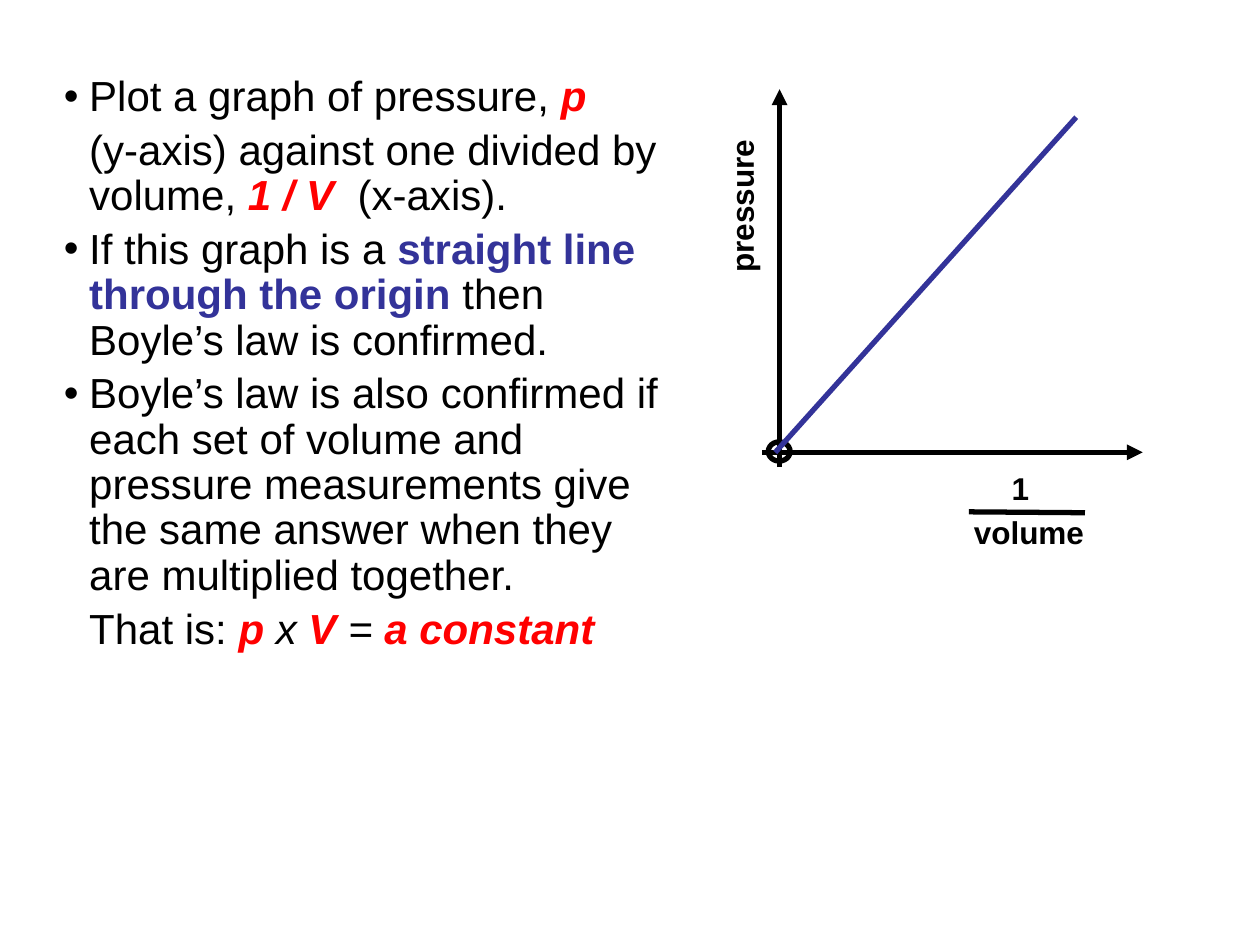
from dataclasses import dataclass

from lxml.etree import SubElement
from pptx import Presentation
from pptx.dml.color import RGBColor
from pptx.enum.shapes import MSO_CONNECTOR, MSO_SHAPE
from pptx.enum.text import MSO_AUTO_SIZE
from pptx.oxml.ns import qn
from pptx.util import Pt


@dataclass(frozen=True)
class Theme:
    font: str = "Arial"
    body_size: float = 24
    label_size: float = 18
    line_width: float = 3
    ink: RGBColor = RGBColor(0, 0, 0)
    symbol: RGBColor = RGBColor(0xFF, 0, 0)
    accent: RGBColor = RGBColor(0x33, 0x33, 0x99)


class SlideBuilder:
    def __init__(self, slide, theme):
        self.slide = slide
        self.theme = theme

    def text_box(self, left, top, width, height):
        box = self.slide.shapes.add_textbox(Pt(left), Pt(top), Pt(width), Pt(height))
        box.text_frame.word_wrap = True
        return box

    def run(self, paragraph, text, size, color, bold=False, italic=False):
        run = paragraph.add_run()
        run.text = text
        font = run.font
        font.name, font.size = self.theme.font, Pt(size)
        font.bold, font.italic = bold, italic
        font.color.rgb = color

    def body(self, left, top, width, height, paragraphs):
        """Each paragraph is (has bullet, runs); a run is (text, color, bold, italic)."""
        frame = self.text_box(left, top, width, height).text_frame
        hang = Pt(14.4)
        for index, (bulleted, runs) in enumerate(paragraphs):
            paragraph = frame.add_paragraph() if index else frame.paragraphs[0]
            paragraph.line_spacing = 0.9
            if index:
                paragraph.space_before = Pt(0.2 * self.theme.body_size)
            properties = paragraph._p.get_or_add_pPr()
            properties.set("marL", str(hang))
            properties.set("indent", str(-hang if bulleted else 0))
            if bulleted:
                SubElement(properties, qn("a:buFont"), typeface=self.theme.font)
                SubElement(properties, qn("a:buChar"), char="•")
            else:
                SubElement(properties, qn("a:buNone"))
            for text, *style in runs:
                self.run(paragraph, text, self.theme.body_size, *style)

    def label(self, text, left, top, width, rotation=0):
        box = self.text_box(left, top, width, 28.8)
        box.rotation = rotation
        box.text_frame.auto_size = MSO_AUTO_SIZE.SHAPE_TO_FIT_TEXT
        self.run(box.text_frame.paragraphs[0], text, self.theme.label_size,
                 self.theme.ink, bold=True)

    def line(self, start, end, color, arrow=False):
        connector = self.slide.shapes.add_connector(
            MSO_CONNECTOR.STRAIGHT, *map(Pt, start), *map(Pt, end))
        connector.line.color.rgb = color
        connector.line.width = Pt(self.theme.line_width)
        if arrow:
            SubElement(connector.line._get_or_add_ln(), qn("a:tailEnd"), type="triangle")
        SubElement(connector._element.spPr, qn("a:effectLst"))

    def ring(self, left, top, width, height):
        shape = self.slide.shapes.add_shape(
            MSO_SHAPE.OVAL, Pt(left), Pt(top), Pt(width), Pt(height))
        shape.shadow.inherit = False
        shape.fill.background()
        shape.line.color.rgb = self.theme.ink
        shape.line.width = Pt(self.theme.line_width)


def main():
    presentation = Presentation()
    presentation.slide_width, presentation.slide_height = Pt(720), Pt(540)
    slide = presentation.slides.add_slide(presentation.slide_layouts[6])
    theme = Theme()
    builder = SlideBuilder(slide, theme)

    plain = (theme.ink, False, False)
    slanted = (theme.ink, False, True)
    symbol = (theme.symbol, True, True)
    key = (theme.accent, True, False)

    builder.body(29.5, 39.6, 357, 376.5, [
        (True, [("Plot a graph of pressure, ", *plain), ("p", *symbol)]),
        (False, [("(y-axis) against one divided by volume, ", *plain),
                 ("1 / V ", *symbol), (" (x-axis).", *plain)]),
        (True, [("If this graph is a ", *plain),
                ("straight line through the origin", *key),
                (" then Boyle’s law is confirmed.", *plain)]),
        (True, [("Boyle’s law is also confirmed if each set of volume and pressure "
                 "measurements give the same answer when they are multiplied "
                 "together.", *plain)]),
        (False, [("That is: ", *plain), ("p ", *symbol), ("x", *slanted),
                 (" V ", *symbol), ("=", *slanted), (" a constant", *symbol)]),
    ])

    origin_x, origin_y = 445.5, 258.5
    builder.line((origin_x, 267), (origin_x, 51), theme.ink, arrow=True)
    builder.line((435.5, origin_y), (653, origin_y), theme.ink, arrow=True)
    builder.ring(439, 252.5, 12.5, 11)

    builder.label("pressure", 373.7, 98.6, 100, rotation=270)
    builder.label("volume", 549.4, 289.4, 100)
    builder.label("1", 571, 264.3, 34)
    builder.line((553.7, 292.5), (620, 293), theme.ink)

    builder.line((443, origin_y), (615, 67), theme.accent)
    presentation.save("out.pptx")


if __name__ == "__main__":
    main()
